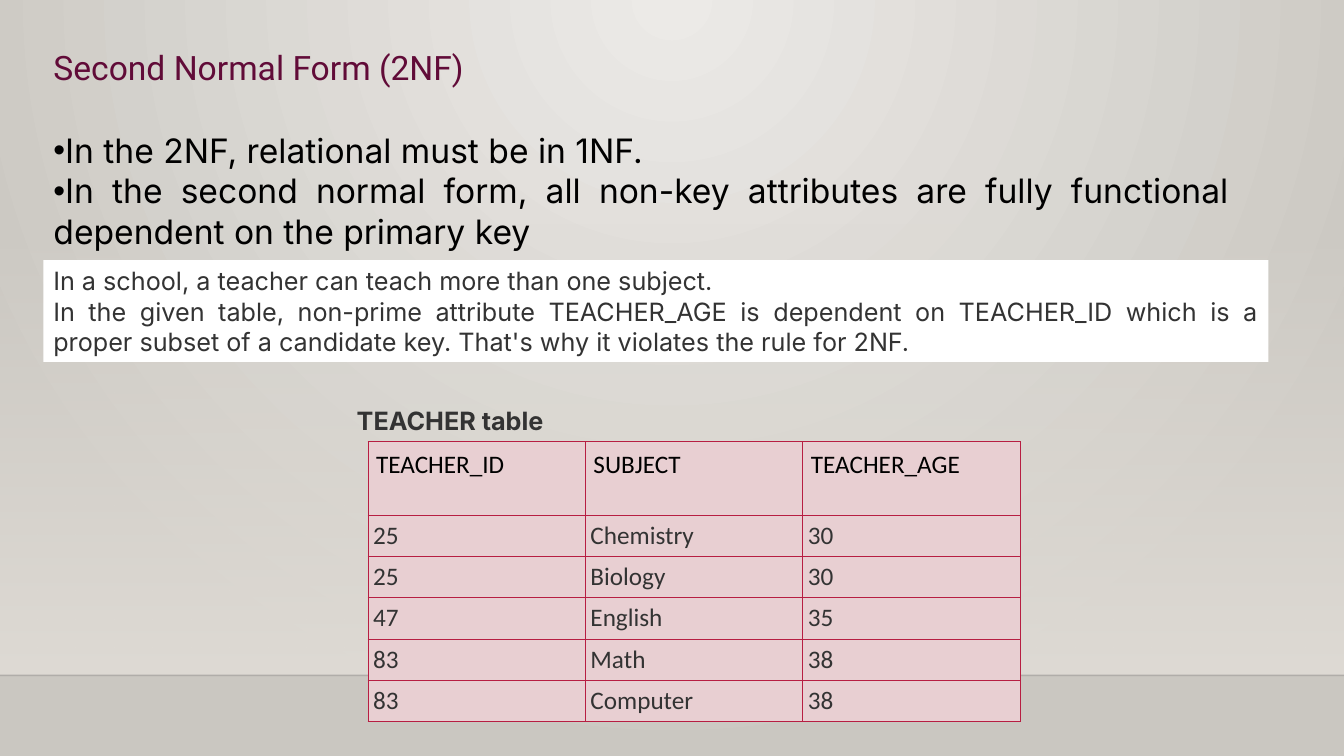
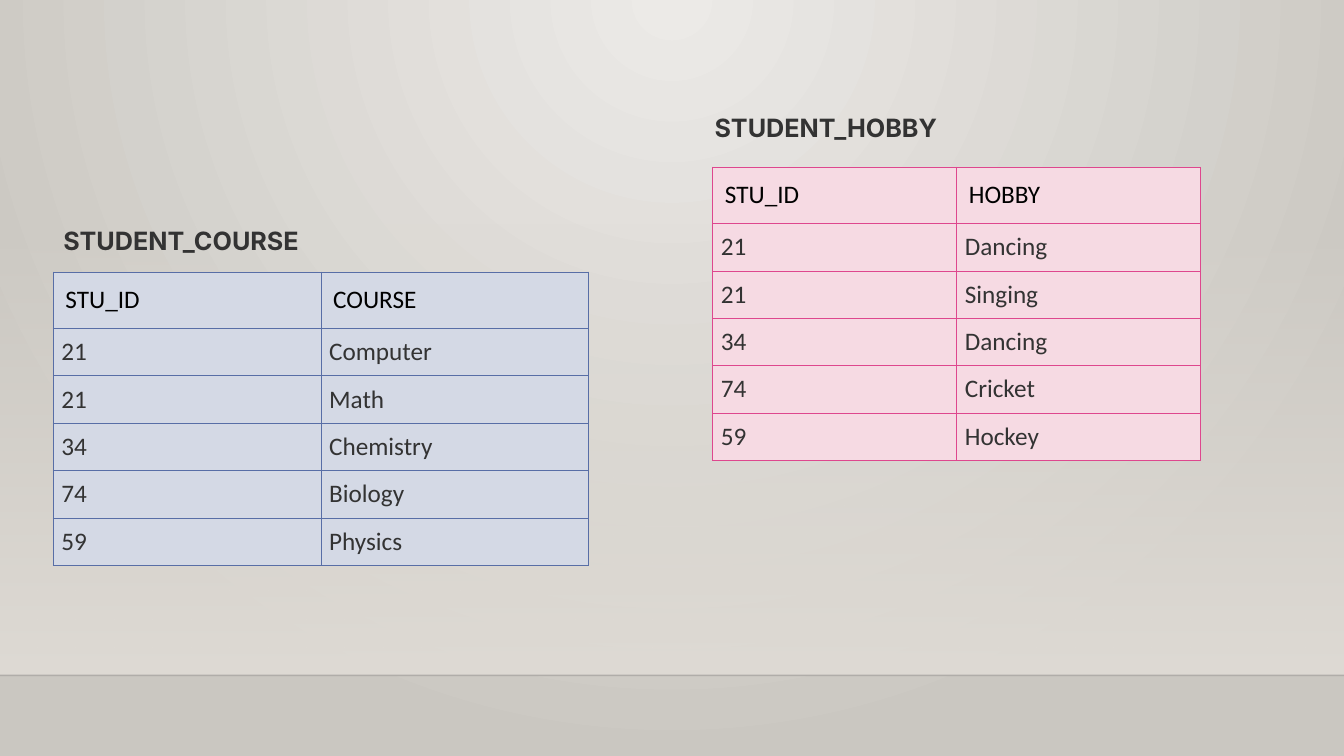
from lxml import etree
from pptx import Presentation
from pptx.dml.color import RGBColor
from pptx.enum import shapes, text
from pptx.oxml import ns
from pptx.util import Inches, Pt

SLIDE_WIDTH, SLIDE_HEIGHT = 13.33, 7.5
FLOOR_TOP = 6.7
SIDE_MARGIN = 0.43

BLACK = RGBColor(0, 0, 0)
WHITE = RGBColor(255, 255, 255)
INK = RGBColor(0x33, 0x33, 0x33)
PLUM = RGBColor(0x61, 0x0B, 0x38)
WALL_LIGHT = RGBColor(0xEC, 0xEA, 0xE7)
WALL_DARK = RGBColor(0xCA, 0xC7, 0xC1)
GLOW = RGBColor(0xDF, 0xDB, 0xD5)
FLOOR_LINE = RGBColor(0, 0, 1)
RED = (RGBColor(0xB7, 0x1E, 0x42), RGBColor(0xE8, 0xCF, 0xD2))
BLUE = (RGBColor(0x58, 0x6E, 0xA6), RGBColor(0xD4, 0xD9, 0xE5))
PINK = (RGBColor(0xDE, 0x47, 0x8E), RGBColor(0xF6, 0xDA, 0xE3))


def add_child(parent, tag, **attributes):
    return etree.SubElement(parent, ns.qn(tag), attributes)


def inches(*lengths):
    return [Inches(length) for length in lengths]


def set_place(shape, *lengths):
    shape.left, shape.top, shape.width, shape.height = inches(*lengths)


def set_gradient(fill, first, last):
    fill.gradient()
    for stop, color in zip(fill.gradient_stops, (first, last)):
        stop.color.rgb = color


def set_opacity(element, percent):
    color = element.find(".//" + ns.qn("a:srgbClr"))
    add_child(color, "a:alpha", val=str(percent * 1000))


def style_text(frame, font_name, size, color, bold=False, align=text.PP_ALIGN.JUSTIFY):
    for para in frame.paragraphs:
        para.alignment = align
        para.space_before = Pt(0)
        for span in para.runs:
            span.font.name = font_name
            span.font.size = Pt(size)
            span.font.bold = bold
            span.font.color.rgb = color


def style_master(deck, page):
    master = deck.slide_master
    set_gradient(master.background.fill, WALL_LIGHT, WALL_DARK)
    gradient = master.element.find(".//" + ns.qn("a:gradFill"))
    gradient.remove(gradient.find(ns.qn("a:lin")))
    circle = add_child(gradient, "a:path", path="circle")
    add_child(circle, "a:fillToRect", l="43000", t="0", r="43000", b="100000")

    glow = page.shapes.add_shape(
        shapes.MSO_SHAPE.RECTANGLE, *inches(0, 2.21, SLIDE_WIDTH, FLOOR_TOP - 2.21))
    glow.shadow.inherit = False
    glow.line.fill.background()
    set_gradient(glow.fill, GLOW, GLOW)
    glow.fill.gradient_angle = 270
    set_opacity(glow.element, 0)

    edge = page.shapes.add_connector(
        shapes.MSO_CONNECTOR.STRAIGHT, *inches(0, FLOOR_TOP, SLIDE_WIDTH, FLOOR_TOP))
    edge.line.width = Pt(1)
    edge.line.color.rgb = FLOOR_LINE
    set_opacity(edge.element, 20)
    add_child(edge.element.spPr, "a:effectLst")

    first_placeholder = master.placeholders[0].element
    for number, shape in enumerate((glow, edge), 20):
        shape.element.find(".//" + ns.qn("p:cNvPr")).set("id", str(number))
        first_placeholder.addprevious(shape.element)


def fill_placeholder(shape, place, content, font_name, color):
    set_place(shape, *place)
    frame = shape.text_frame
    frame.text = content
    frame.word_wrap = True
    frame.auto_size = text.MSO_AUTO_SIZE.NONE
    frame.vertical_anchor = text.MSO_ANCHOR.TOP
    style_text(frame, font_name, 24, color)


def add_heading_and_list(page, left, top, width, title, points):
    fill_placeholder(page.shapes.title, (left, top, width, 0.5), title, "Roboto", PLUM)
    body = page.placeholders[1]
    fill_placeholder(body, (left, top + 0.82, width, 1.3), "\n".join(points), "Inter", BLACK)
    for para in body.text_frame.paragraphs:
        properties = para._p.get_or_add_pPr()
        properties.set("marL", "0")
        properties.set("indent", "0")


def add_explanation(page, left, top, width, height, lines):
    box = page.shapes.add_shape(
        shapes.MSO_SHAPE.RECTANGLE, *inches(left, top, width, height))
    box.shadow.inherit = False
    box.fill.solid()
    box.fill.fore_color.rgb = WHITE
    box.line.fill.background()
    frame = box.text_frame
    frame.text = "\n".join(lines)
    frame.word_wrap = True
    frame.vertical_anchor = text.MSO_ANCHOR.MIDDLE
    style_text(frame, "Inter", 18, INK)


def style_cell(cell, content, colors, inset, is_header):
    border, background = colors
    cell.text = content
    cell.margin_left = cell.margin_right = Inches(inset)
    cell.margin_top = cell.margin_bottom = Inches(inset)
    align = text.PP_ALIGN.LEFT if is_header else text.PP_ALIGN.JUSTIFY
    style_text(cell.text_frame, "Calibri", 18, BLACK if is_header else INK, align=align)
    properties = cell._tc.get_or_add_tcPr()
    for side in ("a:lnL", "a:lnR", "a:lnT", "a:lnB"):
        line = add_child(properties, side, w=str(Pt(0.75)))
        add_child(add_child(line, "a:solidFill"), "a:srgbClr", val=str(border))
    cell.fill.solid()
    cell.fill.fore_color.rgb = background


def add_captioned_table(page, left, top, width, caption, caption_shift, rows, colors,
                        header_height, row_height, header_inset, row_inset):
    shift_x, shift_y = caption_shift
    label = page.shapes.add_textbox(*inches(left + shift_x, top + shift_y, width, 0.4))
    label.text_frame.text = caption
    label.text_frame.word_wrap = True
    style_text(label.text_frame, "Inter", 18, INK, bold=True)

    height = header_height + row_height * (len(rows) - 1)
    table = page.shapes.add_table(
        len(rows), len(rows[0]), *inches(left, top, width, height)).table
    table.first_row = table.horz_banding = False
    for column in table.columns:
        column.width = Inches(width / len(rows[0]))
    for row_index, values in enumerate(rows):
        is_header = row_index == 0
        table.rows[row_index].height = Inches(header_height if is_header else row_height)
        inset = header_inset if is_header else row_inset
        for column_index, value in enumerate(values):
            style_cell(table.cell(row_index, column_index), value, colors, inset, is_header)


def build_second_normal_form(page):
    add_heading_and_list(page, SIDE_MARGIN, 0.42, 11.86, "Second Normal Form (2NF)", [
        "In the 2NF, relational must be in 1NF.",
        "In the second normal form, all non-key attributes are fully functional "
        "dependent on the primary key",
    ])
    add_explanation(page, SIDE_MARGIN, 2.58, 12.15, 1.01, [
        "In a school, a teacher can teach more than one subject.",
        "In the given table, non-prime attribute TEACHER_AGE is dependent on TEACHER_ID "
        "which is a proper subset of a candidate key. That's why it violates the rule for 2NF.",
    ])
    teachers = [
        ("TEACHER_ID", "SUBJECT", "TEACHER_AGE"),
        ("25", "Chemistry", "30"),
        ("25", "Biology", "30"),
        ("47", "English", "35"),
        ("83", "Math", "38"),
        ("83", "Computer", "38"),
    ]
    add_captioned_table(page, 3.65, 4.38, 6.47, "TEACHER table", (-0.21, -0.41),
                        teachers, RED, 0.73, 0.41, 0.08, 0.05)


def build_student_tables(page):
    courses = [("STU_ID", "COURSE"), ("21", "Computer"), ("21", "Math"),
               ("34", "Chemistry"), ("74", "Biology"), ("59", "Physics")]
    hobbies = [("STU_ID", "HOBBY"), ("21", "Dancing"), ("21", "Singing"),
               ("34", "Dancing"), ("74", "Cricket"), ("59", "Hockey")]
    sizes = (0.56, 0.47, 0.12, 0.08)
    add_captioned_table(page, 0.53, 2.7, 5.31, "STUDENT_COURSE", (0, -0.51),
                        courses, BLUE, *sizes)
    add_captioned_table(page, 7.07, 1.66, 4.84, "STUDENT_HOBBY", (-0.08, -0.59),
                        hobbies, PINK, *sizes)


def main():
    deck = Presentation()
    deck.slide_width, deck.slide_height = inches(SLIDE_WIDTH, SLIDE_HEIGHT)
    form_page = deck.slides.add_slide(deck.slide_layouts[1])
    style_master(deck, form_page)
    build_second_normal_form(form_page)
    build_student_tables(deck.slides.add_slide(deck.slide_layouts[6]))
    deck.save("out.pptx")


if __name__ == "__main__":
    main()
